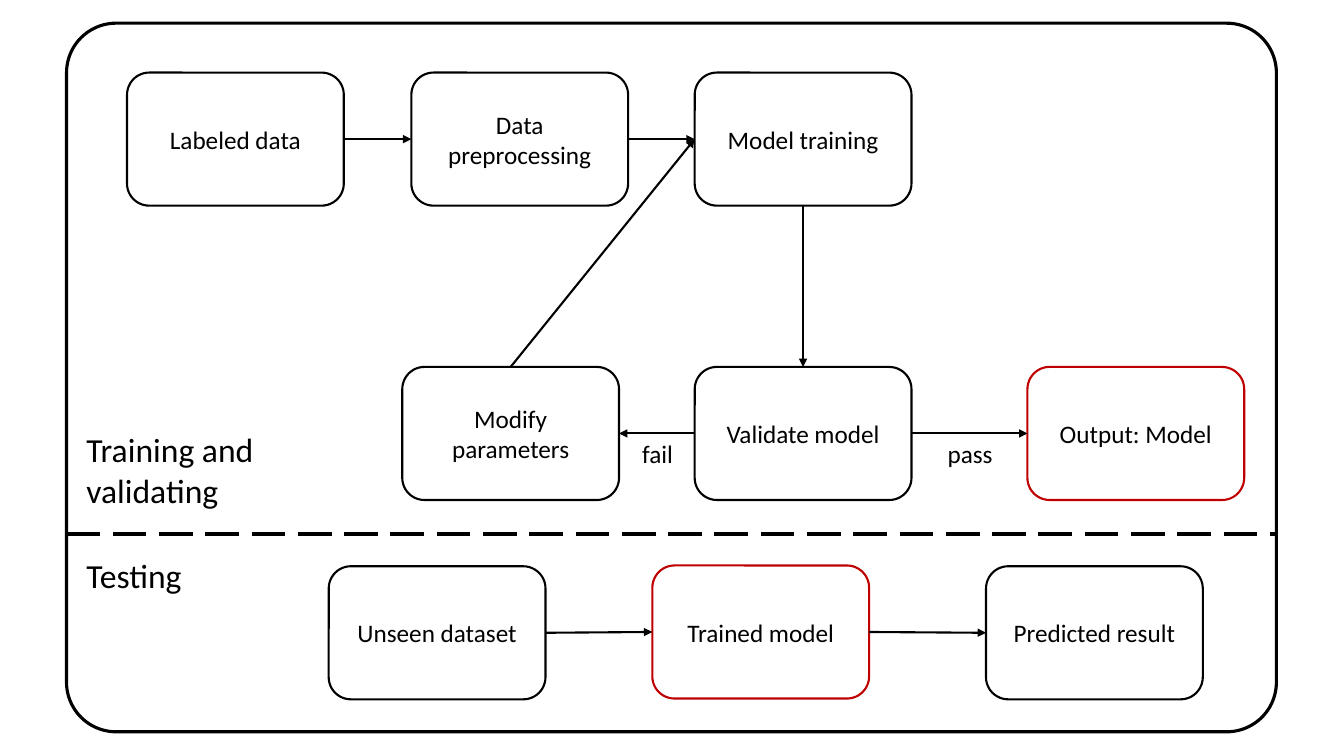
from dataclasses import dataclass
from lxml import etree
from pptx import Presentation
from pptx import util as u
from pptx.dml import color as c
from pptx.enum import dml, shapes, text
from pptx.oxml import ns


@dataclass(frozen=True)
class Theme:
    ink: str = "000000"
    paper: str = "FFFFFF"
    accent: str = "C00000"
    font: str = "Calibri"
    body: int = 18
    head: int = 24
    thin: float = 1.5
    edge: float = 2.25
    thick: float = 3


@dataclass(frozen=True)
class Box:
    left: float
    top: float
    width: float
    height: float

    def spot(self, col, row):
        return (self.left + self.width * col / 100,
                self.top + self.height * row / 100)

    def inner(self, col, row, wide, high):
        return Box(*self.spot(col, row),
                   self.width * wide / 100, self.height * high / 100)

    def emu(self):
        return [u.Inches(v) for v in
                (self.left, self.top, self.width, self.height)]


look = Theme()
page = Box(0, 0, 13.33, 7.5)
node_size = page.inner(0, 0, 16.13, 17.6)
TOP, LEFT, BOTTOM, RIGHT = range(4)


def style(item, values):
    for name, value in values.items():
        setattr(item, name, value)


def rgb(tint):
    return c.RGBColor.from_string(tint)


def write(shape, words, size, align, layout):
    frame = shape.text_frame
    style(frame, {"word_wrap": True, "text": words, **layout})
    line = frame.paragraphs[0]
    line.alignment = align
    style(line.runs[0].font, {"name": look.font, "size": u.Pt(size)})
    line.runs[0].font.color.rgb = rgb(look.ink)


def outline(item, tint, width):
    item.line.color.rgb = rgb(tint)
    item.line.width = u.Pt(width)


def panel(slide, box, tint, width):
    shape = slide.shapes.add_shape(shapes.MSO_SHAPE.ROUNDED_RECTANGLE, *box.emu())
    shape.shadow.inherit = False
    outline(shape, tint, width)
    return shape


def node(slide, box, words, col, row, tint=look.ink):
    place = Box(*box.spot(col, row), node_size.width, node_size.height)
    shape = panel(slide, place, tint, look.thin)
    shape.fill.solid()
    shape.fill.fore_color.rgb = rgb(look.paper)
    write(shape, words, look.body, text.PP_ALIGN.CENTER,
          {"vertical_anchor": text.MSO_ANCHOR.MIDDLE})
    return shape


def label(slide, place, words, size):
    shape = slide.shapes.add_textbox(*place.emu())
    write(shape, words, size, text.PP_ALIGN.LEFT,
          {"auto_size": text.MSO_AUTO_SIZE.SHAPE_TO_FIT_TEXT})


def link(slide, start, end, width):
    ends = [u.Inches(v) for v in (*start, *end)]
    line = slide.shapes.add_connector(shapes.MSO_CONNECTOR.STRAIGHT, *ends)
    outline(line, look.ink, width)
    etree.SubElement(line._element.spPr, ns.qn("a:effectLst"))
    return line


def arrow(slide, source, target, leave=RIGHT, enter=LEFT):
    line = link(slide, (0, 0), (0, 0), look.thin)
    line.begin_connect(source, leave)
    line.end_connect(target, enter)
    stroke = line._element.spPr.find(ns.qn("a:ln"))
    etree.SubElement(stroke, ns.qn("a:tailEnd"), type="triangle")


def frame(slide, box, split):
    shape = panel(slide, box, look.ink, look.edge)
    shape.fill.background()
    shape.adjustments[0] = 0.07
    line = link(slide, box.spot(0, split), box.spot(100, split), look.thick)
    line.line.dash_style = dml.MSO_LINE.LONG_DASH


def train(slide, box):
    high, low = 9.66, 67.26
    data = node(slide, box, "Labeled data", 5, high)
    prep = node(slide, box, "Data preprocessing", 28.5, high)
    model = node(slide, box, "Model training", 51.92, high)
    tune = node(slide, box, "Modify parameters", 27.75, low)
    check = node(slide, box, "Validate model", 51.92, low)
    output = node(slide, box, "Output: Model", 79.42, low, look.accent)
    arrow(slide, data, prep)
    arrow(slide, prep, model)
    arrow(slide, model, check, BOTTOM, TOP)
    arrow(slide, check, output)
    arrow(slide, check, tune, LEFT, RIGHT)
    arrow(slide, tune, model, TOP, LEFT)
    for words, col in (("fail", 46.75), ("pass", 72)):
        label(slide, box.inner(col, 80.28, 8.08, 7.9), words, look.body)
    label(slide, box.inner(0.83, 78.5, 17.92, 17.95), "Training and validating", look.head)


def test(slide, box):
    fresh = node(slide, box, "Unseen dataset", 21.67, 16.2)
    model = node(slide, box, "Trained model", 48.42, 15.8, look.accent)
    result = node(slide, box, "Predicted result", 76, 16.2)
    arrow(slide, fresh, model)
    arrow(slide, model, result)
    label(slide, box.inner(0.83, 8.16, 17.92, 25.5), "Testing", look.head)


def main():
    deck = Presentation()
    style(deck, {"slide_width": u.Inches(page.width),
                 "slide_height": u.Inches(page.height)})
    slide = deck.slides.add_slide(deck.slide_layouts[6])
    area = page.inner(4.95, 3.07, 90.02, 93.73)
    split = 72.12
    frame(slide, area, split)
    train(slide, area.inner(0, 0, 100, split))
    test(slide, area.inner(0, split, 100, 100 - split))
    deck.save("out.pptx")


main()
